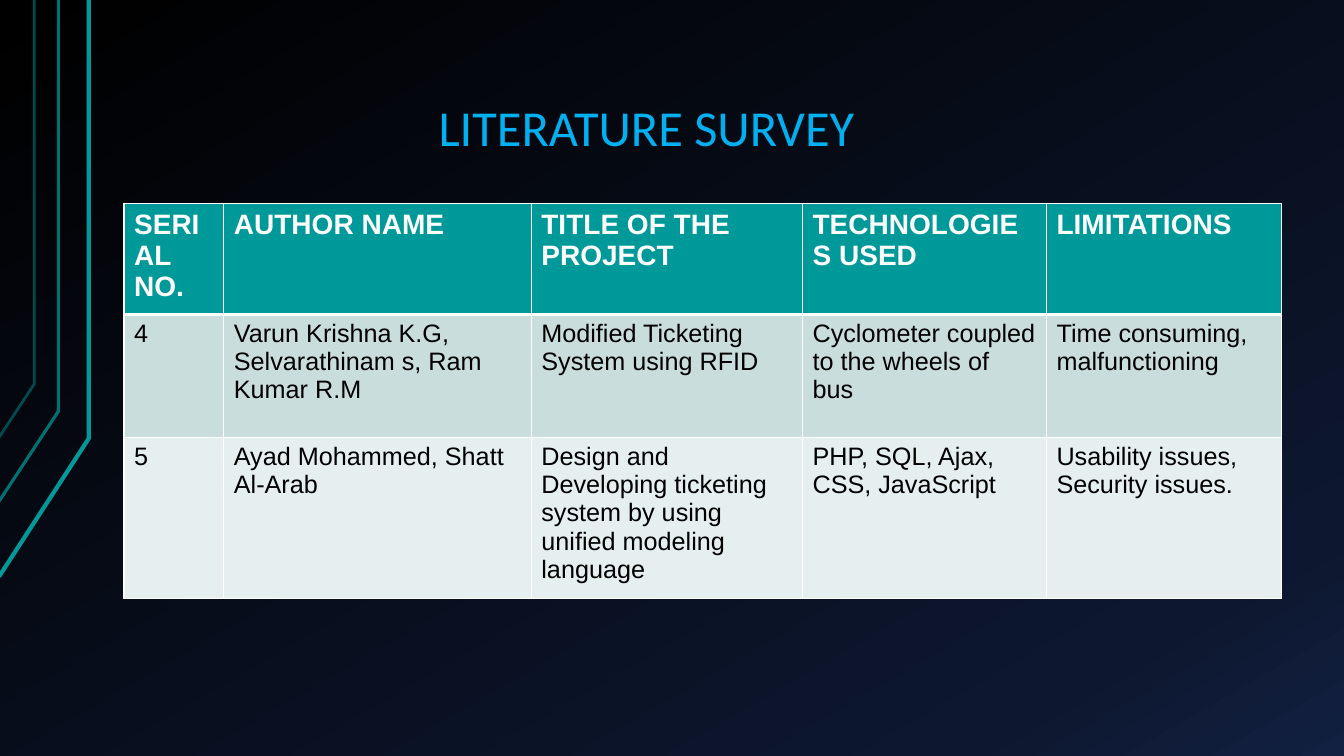
from copy import deepcopy
from dataclasses import dataclass

from pptx import Presentation
from pptx.dml.color import RGBColor
from pptx.enum.text import MSO_ANCHOR
from pptx.oxml import parse_xml
from pptx.oxml.ns import nsdecls, qn
from pptx.util import Inches, Pt


@dataclass(frozen=True)
class Theme:
    gradient: tuple = ((0, "000000"), (0.85, "0D172F"), (1, "122041"))
    title: str = "00B0F0"
    header: str = "009999"
    bands: tuple = ("CADDDD", "E6EFEF")
    border: str = "FFFFFF"
    header_text: str = "FFFFFF"
    body_text: str = "000000"
    title_font: str = "Calibri"
    table_font: str = "Arial"
    title_size: int = 36
    header_size: int = 20
    body_size: int = 18


@dataclass(frozen=True)
class BentLine:
    points: tuple
    color: str
    width: float


THEME = Theme()

BENT_LINES = (
    BentLine(((-0.01, 5.72), (0.88, 4.35), (0.88, 0)), "009999", 3),
    BentLine(((-0.02, 4.99), (0.58, 4.08), (0.58, 0)), "007272", 2.25),
    BentLine(((-0.01, 4.34), (0.34, 3.81), (0.34, 0)), "004C4C", 2),
)

COLUMN_WIDTHS = (0.99, 3.05, 2.69, 2.42, 2.33)
ROW_HEIGHTS = (1.08, 1.22, 1.5)
ROWS = (
    ("SERIAL NO.", "AUTHOR NAME", "TITLE OF THE PROJECT",
     "TECHNOLOGIES USED", "LIMITATIONS"),
    ("4", "Varun Krishna K.G, Selvarathinam s, Ram Kumar R.M",
     "Modified Ticketing System using RFID",
     "Cyclometer coupled to the wheels of bus",
     "Time consuming,\nmalfunctioning"),
    ("5", "Ayad Mohammed, Shatt Al-Arab",
     "Design and Developing ticketing system by using unified modeling language",
     "PHP, SQL, Ajax, CSS, JavaScript",
     "Usability issues,\nSecurity issues."),
)


def format_font(font, color: str, **values) -> None:
    for name, value in values.items():
        setattr(font, name, value)
    font.color.rgb = RGBColor.from_string(color)


def paint_background(s) -> None:
    fill = s.background.fill
    fill.gradient()
    fill.gradient_angle = 300  # counter-clockwise
    stop_list = s.element.find(".//" + qn("a:gsLst"))
    stop_list.insert(1, deepcopy(stop_list[0]))
    for stop, (position, color) in zip(fill.gradient_stops, THEME.gradient):
        stop.position = position
        stop.color.rgb = RGBColor.from_string(color)


def draw_bent_line(s, line: BentLine) -> None:
    start, *rest = [(Inches(x), Inches(y)) for x, y in line.points]
    builder = s.shapes.build_freeform(*start)
    builder.add_line_segments(rest, close=False)
    sp = builder.convert_to_shape()
    sp.shadow.inherit = False
    sp.fill.background()
    sp.line.color.rgb = RGBColor.from_string(line.color)
    sp.line.width = Pt(line.width)


def draw_title(s, text: str) -> None:
    sp = s.shapes.add_textbox(Inches(1.08), Inches(0.29), Inches(11.33), Inches(1.34))
    tf = sp.text_frame
    layout = {
        "word_wrap": True,
        "vertical_anchor": MSO_ANCHOR.BOTTOM,
        "margin_left": Inches(3.27),
        "margin_right": Inches(0.13),
        "margin_top": Inches(0.07),
        "margin_bottom": Inches(0.07),
    }
    for name, value in layout.items():
        setattr(tf, name, value)
    p = tf.paragraphs[0]
    p.line_spacing = 0.9
    r = p.add_run()
    r.text = text
    format_font(r.font, THEME.title, name=THEME.title_font, size=Pt(THEME.title_size))


def set_borders(cell, widths: dict) -> None:
    tc_pr = cell._tc.get_or_add_tcPr()
    for i, (side, width) in enumerate(widths.items()):
        tc_pr.insert(i, parse_xml(
            f'<a:ln{side} {nsdecls("a")} w="{Pt(width)}"><a:solidFill>'
            f'<a:srgbClr val="{THEME.border}"/></a:solidFill></a:ln{side}>'))


def draw_table(s) -> None:
    frame = s.shapes.add_table(
        len(ROWS), len(COLUMN_WIDTHS), Inches(1.23), Inches(2.02),
        Inches(sum(COLUMN_WIDTHS)), Inches(sum(ROW_HEIGHTS)))
    table = frame.table
    for column, width in zip(table.columns, COLUMN_WIDTHS):
        column.width = Inches(width)
    for i, (row, height, texts) in enumerate(zip(table.rows, ROW_HEIGHTS, ROWS)):
        row.height = Inches(height)
        is_header = i == 0
        fill = THEME.header if is_header else THEME.bands[(i - 1) % 2]
        color = THEME.header_text if is_header else THEME.body_text
        size = THEME.header_size if is_header else THEME.body_size
        # The rule below the header is thicker than the rest
        widths = {"L": 1, "R": 1, "T": 3 if i == 1 else 1, "B": 3 if is_header else 1}
        for cell, text in zip(row.cells, texts):
            cell.fill.solid()
            cell.fill.fore_color.rgb = RGBColor.from_string(fill)
            set_borders(cell, widths)
            cell.text_frame.text = text
            for p in cell.text_frame.paragraphs:
                for r in p.runs:
                    format_font(r.font, color, name=THEME.table_font,
                                size=Pt(size), bold=is_header)


def main() -> None:
    prs = Presentation()
    prs.slide_width, prs.slide_height = Inches(13.33), Inches(7.5)
    s = prs.slides.add_slide(prs.slide_layouts[6])

    # Backdrop and corner lines
    paint_background(s)
    for line in BENT_LINES:
        draw_bent_line(s, line)

    # Content
    draw_title(s, "LITERATURE SURVEY")
    draw_table(s)
    prs.save("out.pptx")


if __name__ == "__main__":
    main()
